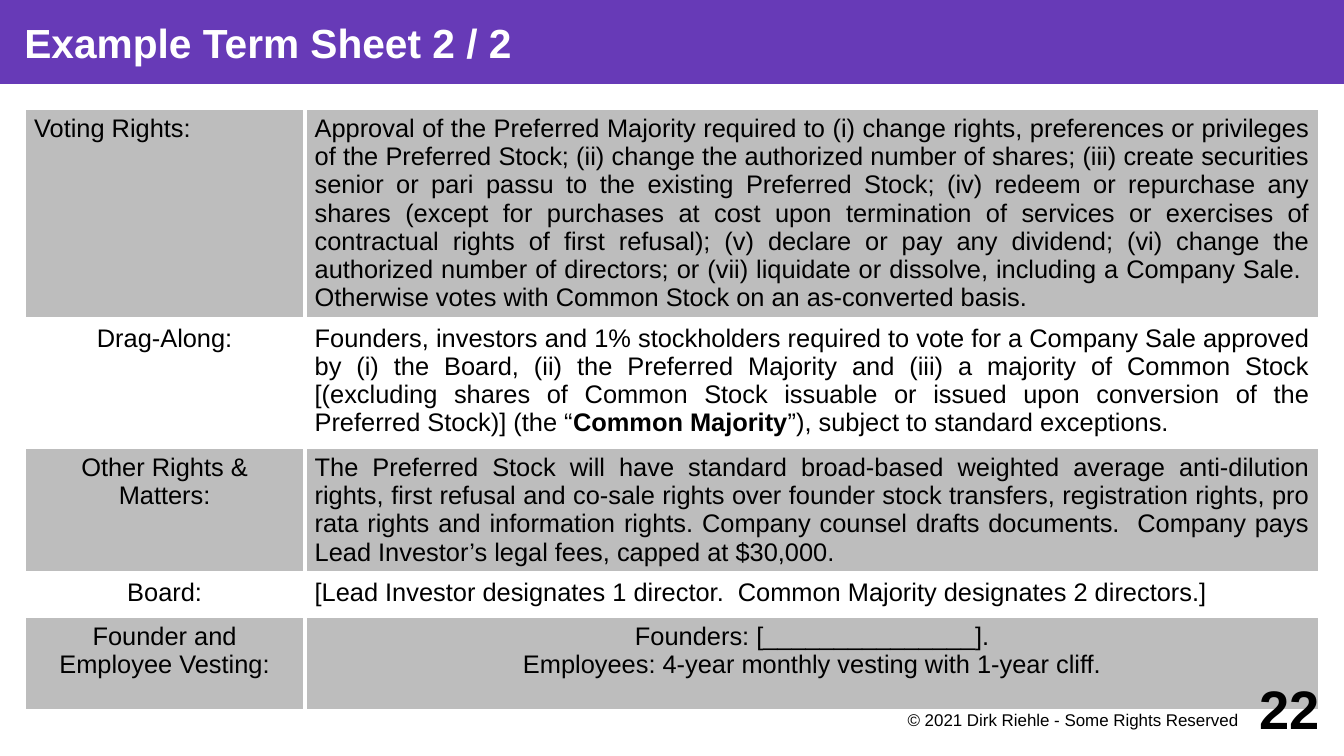
import pptx
import pptx.dml.color
import pptx.enum.shapes
import pptx.enum.text
import pptx.oxml
import pptx.oxml.ns
import pptx.util

Inches, Pt = pptx.util.Inches, pptx.util.Pt
RGBColor = pptx.dml.color.RGBColor
ALIGN = pptx.enum.text.PP_ALIGN
ANCHOR = pptx.enum.text.MSO_ANCHOR

PURPLE = RGBColor(0x67, 0x3A, 0xB7)
GREY = RGBColor(0xBD, 0xBD, 0xBD)
WHITE = RGBColor(0xFF, 0xFF, 0xFF)
BLACK = RGBColor(0x00, 0x00, 0x00)

FONT = "Arial"
WIDTH, HEIGHT = 11.02, 6.2
MARGIN = 0.2
BAR_HEIGHT = HEIGHT / 9
RIGHT = WIDTH - MARGIN
BOTTOM = HEIGHT - MARGIN / 2
LABEL_WIDTH = 2.3
COLUMNS = (LABEL_WIDTH, RIGHT - MARGIN - LABEL_WIDTH)
BORDER = Pt(2.27)

# Each term: row height, label, label alignment, text alignment,
# lines of (text, bold) runs.
TERMS = [
    (1.7, "Voting Rights:", ALIGN.LEFT, ALIGN.JUSTIFY, [[(
        "Approval of the Preferred Majority required to (i) change rights, "
        "preferences or privileges of the Preferred Stock; (ii) change the "
        "authorized number of shares; (iii) create securities senior or pari "
        "passu to the existing Preferred Stock; (iv) redeem or repurchase any "
        "shares (except for purchases at cost upon termination of services or "
        "exercises of contractual rights of first refusal); (v) declare or pay "
        "any dividend; (vi) change the authorized number of directors; or (vii) "
        "liquidate or dissolve, including a Company Sale.  Otherwise votes with "
        "Common Stock on an as‑converted basis.", False)]]),
    (1.06, "Drag-Along:", ALIGN.CENTER, ALIGN.JUSTIFY, [[
        ("Founders, investors and 1% stockholders required to vote for a Company "
         "Sale approved by (i) the Board, (ii) the Preferred Majority and (iii) a "
         "majority of Common Stock [(excluding shares of Common Stock issuable or "
         "issued upon conversion of the Preferred Stock)] (the “", False),
        ("Common Majority", True),
        ("”), subject to standard exceptions.", False)]]),
    (0.99, "Other Rights & Matters:", ALIGN.CENTER, ALIGN.JUSTIFY, [[(
        "The Preferred Stock will have standard broad-based weighted average "
        "anti-dilution rights, first refusal and co-sale rights over founder "
        "stock transfers, registration rights, pro rata rights and information "
        "rights. Company counsel drafts documents.  Company pays Lead Investor’s "
        "legal fees, capped at $30,000.", False)]]),
    (0.36, "Board:", ALIGN.CENTER, ALIGN.JUSTIFY, [[(
        "[Lead Investor designates 1 director.  Common Majority designates "
        "2 directors.]", False)]]),
    (0.77, "Founder and Employee Vesting:", ALIGN.CENTER, ALIGN.CENTER, [
        [("Founders: [_______________].", False)],
        [("Employees: 4-year monthly vesting with 1-year cliff.", False)]]),
]


def add_run(p, text, size, bold=False, color=BLACK):
    r = p.add_run()
    r.text = text
    r.font.name, r.font.size, r.font.bold = FONT, Pt(size), bold
    r.font.color.rgb = color


def set_frame(tf, insets, anchor):
    """Insets are left, top, right, bottom in inches."""
    tf.word_wrap = True
    tf.vertical_anchor = anchor
    tf.margin_left, tf.margin_top, tf.margin_right, tf.margin_bottom = map(Inches, insets)


def add_title(s, text):
    sp = s.shapes.add_shape(pptx.enum.shapes.MSO_SHAPE.RECTANGLE,
                            0, 0, Inches(WIDTH), Inches(BAR_HEIGHT))
    sp.shadow.inherit = False
    sp.fill.solid()
    sp.fill.fore_color.rgb = PURPLE
    sp.line.fill.background()
    set_frame(sp.text_frame, (MARGIN, 0, 0, 0), ANCHOR.MIDDLE)
    p = sp.text_frame.paragraphs[0]
    p.alignment = ALIGN.LEFT
    add_run(p, text, 24, True, WHITE)


def add_footer_text(s, text, right, width, height, size, bold, insets, anchor):
    """Right-aligned text that stands on the bottom margin."""
    sp = s.shapes.add_textbox(Inches(right - width), Inches(BOTTOM - height),
                              Inches(width), Inches(height))
    set_frame(sp.text_frame, insets, anchor)
    p = sp.text_frame.paragraphs[0]
    p.alignment = ALIGN.RIGHT
    add_run(p, text, size, bold)


def set_borders(cell):
    tc_pr = cell._tc.get_or_add_tcPr()
    for i, side in enumerate(("lnL", "lnR", "lnT", "lnB")):
        tc_pr.insert(i, pptx.oxml.parse_xml(
            f'<a:{side} {pptx.oxml.ns.nsdecls("a")} w="{BORDER}"><a:solidFill>'
            f'<a:srgbClr val="{WHITE}"/></a:solidFill></a:{side}>'))


def fill_cell(cell, lines, align, color):
    cell.fill.solid()
    cell.fill.fore_color.rgb = color
    set_borders(cell)
    cell.margin_left = cell.margin_right = Inches(0.08)
    cell.margin_top = cell.margin_bottom = Inches(0.05)
    p = cell.text_frame.paragraphs[0]
    p.alignment = align
    for i, line in enumerate(lines):
        if i:
            p.add_line_break()
        for text, bold in line:
            add_run(p, text, 15, bold)


def add_terms(s):
    heights = [term[0] for term in TERMS]
    table = s.shapes.add_table(
        len(TERMS), len(COLUMNS), Inches(MARGIN), Inches(BAR_HEIGHT + MARGIN),
        Inches(sum(COLUMNS)), Inches(sum(heights))).table
    table.first_row = table.horz_banding = False
    for column, width in zip(table.columns, COLUMNS):
        column.width = Inches(width)
    for i, (height, label, label_align, align, lines) in enumerate(TERMS):
        color = WHITE if i % 2 else GREY
        table.rows[i].height = Inches(height)
        fill_cell(table.cell(i, 0), [[(label, False)]], label_align, color)
        fill_cell(table.cell(i, 1), lines, align, color)


def main():
    prs = pptx.Presentation()
    prs.slide_width, prs.slide_height = Inches(WIDTH), Inches(HEIGHT)
    s = prs.slides.add_slide(prs.slide_layouts[6])
    add_title(s, "Example Term Sheet 2 / 2")
    add_terms(s)
    add_footer_text(s, "© 2021 Dirk Riehle - Some Rights Reserved", RIGHT - 0.59,
                    3.15, 0.3, 10, False, (0, 0.02, 0.08, 0), ANCHOR.TOP)
    add_footer_text(s, "22", RIGHT, 0.79, 0.59, 32, True, (0, 0, 0, 0), ANCHOR.MIDDLE)
    prs.save("out.pptx")


if __name__ == "__main__":
    main()
